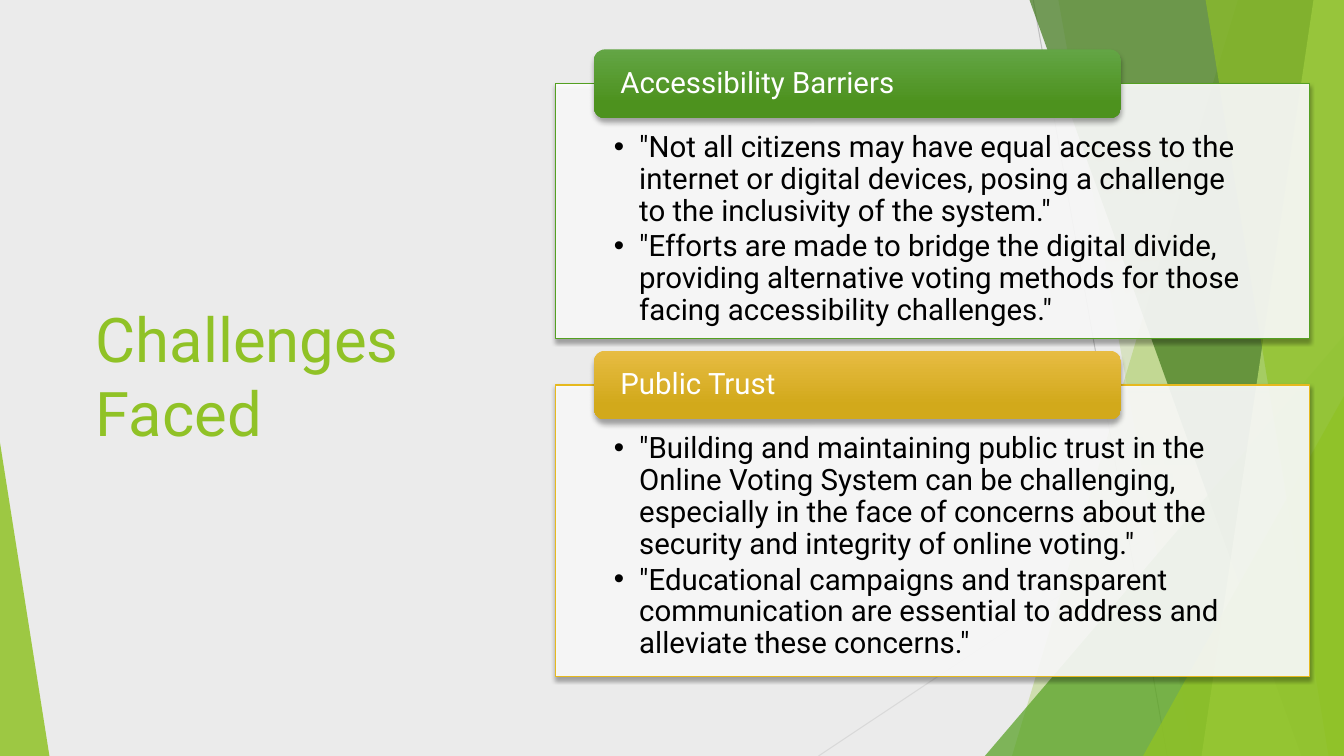
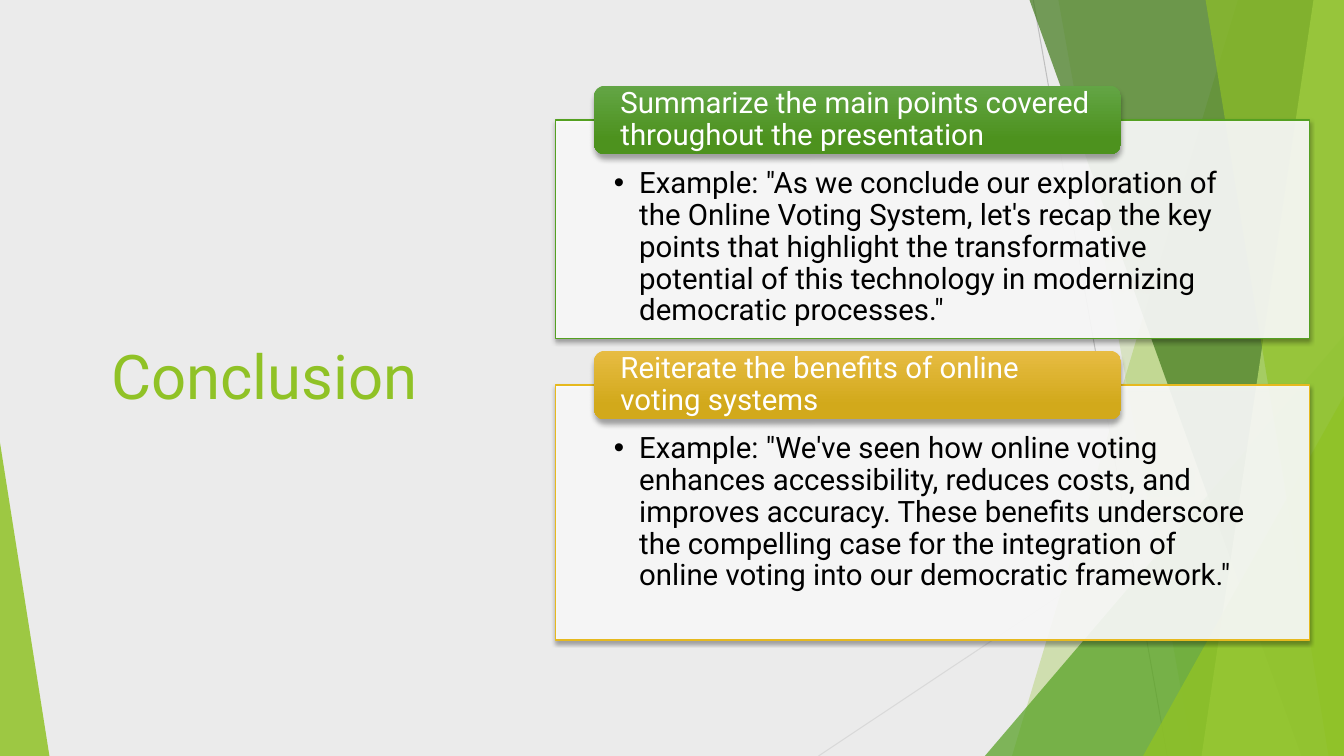
import pptx
import pptx.dml.color
import pptx.enum.shapes
import pptx.enum.text
import pptx.oxml.ns
import pptx.util
import lxml.etree

qn = pptx.oxml.ns.qn
SHAPES = pptx.enum.shapes.MSO_SHAPE
ANCHORS = pptx.enum.text.MSO_ANCHOR

COLORS = {
    "backdrop": "EBEBEB", "line dark": "BFBFBF", "line light": "D9D9D9",
    "lime": "90C226", "pale lime": "C0E474", "green": "54A021", "forest": "3F7819",
    "gold": "E6B91E", "white": "FFFFFF", "black": "000000",
    "green top": "63A545", "green foot": "4D921E",
    "gold top": "E7BC43", "gold foot": "D2A91B",
}
FONT = "Roboto"
TITLE_SIZE, BODY_SIZE = 44, 21

# Shares of the slide, in percent
PANEL_LEFT, PANEL_WIDTH = 41.33, 56.1
TAB_LEFT, TAB_WIDTH, TAB_HEIGHT = 44.18, 39.23, 9.1
PANEL_GAP, STACK_CENTER = 6.13, 48


def rgb(name):
    return pptx.dml.color.RGBColor.from_string(COLORS[name])


class Deck:
    """Holds the style and the current slide; all lengths are percent of the slide."""

    def __init__(self):
        self.file = pptx.Presentation()
        self.file.slide_width = pptx.util.Inches(13.33)
        self.file.slide_height = pptx.util.Inches(7.5)
        backdrop = self.file.slide_master.background.fill
        backdrop.solid()
        backdrop.fore_color.rgb = rgb("backdrop")
        self.shapes = None

    def x(self, share):
        return round(self.file.slide_width * share / 100)

    def y(self, share):
        return round(self.file.slide_height * share / 100)

    def box(self, left, top, width, height):
        return self.x(left), self.y(top), self.x(width), self.y(height)

    def new_slide(self, title, indent=0):
        self.shapes = self.file.slides.add_slide(self.file.slide_layouts[6]).shapes
        self.backdrop()
        heading = self.shapes.add_textbox(*self.box(6.38, 7.2, 32.4, 84.8))
        self.set_text(heading, [title], TITLE_SIZE, "lime", ANCHORS.MIDDLE)
        heading.text_frame.margin_left += self.x(indent)

    def backdrop(self):
        self.thin_line((76.88, 0), (86.85, 100), "line dark")
        self.thin_line((100, 53.73), (60.9, 100), "line light")
        self.band(92.1, 75.3, "lime", 30)
        self.band(78.75, 88.75, "lime", 20)
        self.corner(73.28, 44.4, 26.72, "green", 72, apex=1)
        self.band(76.6, 96.83, "forest", 70)
        self.band(97.73, 89.4, "pale lime", 70)
        self.band(89.7, 98.85, "lime", 65)
        self.corner(85.05, 52.4, 14.95, "lime", 80, apex=1)
        self.corner(0, 58.53, 3.68, "lime", 85, apex=0)

    def thin_line(self, start, end, color):
        line = self.shapes.add_connector(
            pptx.enum.shapes.MSO_CONNECTOR.STRAIGHT,
            self.x(start[0]), self.y(start[1]), self.x(end[0]), self.y(end[1]))
        line.line.color.rgb = rgb(color)
        line.line.width = pptx.util.Pt(0.75)
        lxml.etree.SubElement(line.element.spPr, qn("a:effectLst"))

    def band(self, top_left, bottom_left, color, opacity):
        """Full-height area from a slanted left edge to the slide's right edge."""
        outline = self.shapes.build_freeform(self.x(top_left), 0)
        outline.add_line_segments([
            (self.x(100), 0), (self.x(100), self.y(100)),
            (self.x(bottom_left), self.y(100))], close=True)
        self.paint(outline.convert_to_shape(), color, opacity)

    def corner(self, left, top, width, color, opacity, apex):
        """Triangle standing on the bottom edge; apex is 0 at left, 1 at right."""
        triangle = self.shapes.add_shape(
            SHAPES.ISOSCELES_TRIANGLE, *self.box(left, top, width, 100 - top))
        triangle.adjustments[0] = apex
        self.paint(triangle, color, opacity)

    def paint(self, shape, color, opacity):
        shape.fill.solid()
        shape.fill.fore_color.rgb = rgb(color)
        tint = shape.element.spPr.find(qn("a:solidFill"))[0]
        lxml.etree.SubElement(tint, qn("a:alpha"), val=str(opacity * 1000))
        shape.line.fill.background()
        shape.shadow.inherit = False

    def drop_shadow(self, shape, blur, distance):
        shape.shadow.inherit = False
        effects = shape.element.spPr.find(qn("a:effectLst"))
        shadow = lxml.etree.SubElement(
            effects, qn("a:outerShdw"), blurRad=str(pptx.util.Pt(blur)),
            dist=str(pptx.util.Pt(distance)), dir="5400000", rotWithShape="0")
        tint = lxml.etree.SubElement(shadow, qn("a:srgbClr"), val=COLORS["black"])
        lxml.etree.SubElement(tint, qn("a:alpha"), val="35000")

    def set_text(self, shape, texts, size, color, anchor, spacing=None):
        frame = shape.text_frame
        frame.word_wrap = True
        frame.vertical_anchor = anchor
        frame.text = "\n".join(texts)
        for paragraph in frame.paragraphs:
            paragraph.alignment = pptx.enum.text.PP_ALIGN.LEFT
            paragraph.line_spacing = spacing
            for run in paragraph.runs:
                run.font.name = FONT
                run.font.size = pptx.util.Pt(size)
                run.font.color.rgb = rgb(color)

    def inset(self, shape, side, top, bottom):
        frame = shape.text_frame
        frame.margin_left = frame.margin_right = self.x(side)
        frame.margin_top, frame.margin_bottom = self.y(top), self.y(bottom)

    def panel(self, top, height, color, points):
        panel = self.shapes.add_shape(
            SHAPES.RECTANGLE, *self.box(PANEL_LEFT, top, PANEL_WIDTH, height))
        self.paint(panel, "white", 90)
        panel.line.color.rgb = rgb(color)
        panel.line.width = pptx.util.Pt(1)
        self.drop_shadow(panel, 3, 2)
        self.set_text(panel, points, BODY_SIZE, "black", ANCHORS.TOP, 0.9)
        self.inset(panel, 4.35, 6.4, 2.13)
        hang = self.x(1.88)
        for paragraph in panel.text_frame.paragraphs:
            paragraph.space_after = pptx.util.Pt(3)
            layout = paragraph._p.get_or_add_pPr()
            layout.set("marL", str(hang))
            layout.set("indent", str(-hang))
            lxml.etree.SubElement(layout, qn("a:buFont"), typeface="Arial")
            lxml.etree.SubElement(layout, qn("a:buChar"), char="•")

    def tab(self, top, color, heading):
        tab = self.shapes.add_shape(
            SHAPES.ROUNDED_RECTANGLE, *self.box(TAB_LEFT, top, TAB_WIDTH, TAB_HEIGHT))
        tab.fill.gradient()
        tab.fill.gradient_angle = 270
        shades = ((0, f"{color} top"), (0.78, f"{color} foot"))
        for stop, (position, shade) in zip(tab.fill.gradient_stops, shades):
            stop.position = position
            stop.color.rgb = rgb(shade)
        tab.line.fill.background()
        self.drop_shadow(tab, 4, 3)
        self.set_text(tab, [heading], BODY_SIZE, "white", ANCHORS.MIDDLE, 0.9)
        self.inset(tab, 1.73, 0, 0)

    def topic_stack(self, topics):
        """Panels under one another, centred as a stack, each with a tab on its top edge."""
        total = (TAB_HEIGHT / 2 + sum(height for height, *_ in topics)
                 + PANEL_GAP * (len(topics) - 1))
        top = STACK_CENTER - total / 2 + TAB_HEIGHT / 2
        for height, color, heading, points in topics:
            self.panel(top, height, color, points)
            self.tab(top - TAB_HEIGHT / 2, color, heading)
            top += height + PANEL_GAP


def main():
    deck = Deck()

    deck.new_slide("Challenges Faced")
    deck.topic_stack([
        (33.73, "green", "Accessibility Barriers", [
            '"Not all citizens may have equal access to the internet or digital devices, '
            'posing a challenge to the inclusivity of the system."',
            '"Efforts are made to bridge the digital divide, providing alternative voting '
            'methods for those facing accessibility challenges."']),
        (38.53, "gold", "Public Trust", [
            '"Building and maintaining public trust in the Online Voting System can be '
            'challenging, especially in the face of concerns about the security and '
            'integrity of online voting."',
            '"Educational campaigns and transparent communication are essential to '
            'address and alleviate these concerns."']),
    ])

    deck.new_slide("Conclusion", indent=1.15)
    deck.topic_stack([
        (28.93, "green", "Summarize the main points covered throughout the presentation", [
            'Example: "As we conclude our exploration of the Online Voting System, '
            "let's recap the key points that highlight the transformative potential of "
            'this technology in modernizing democratic processes."']),
        (33.73, "gold", "Reiterate the benefits of online voting systems", [
            'Example: "We\'ve seen how online voting enhances accessibility, reduces '
            'costs, and improves accuracy. These benefits underscore the compelling case '
            'for the integration of online voting into our democratic framework."']),
    ])

    deck.file.save("out.pptx")


if __name__ == "__main__":
    main()
